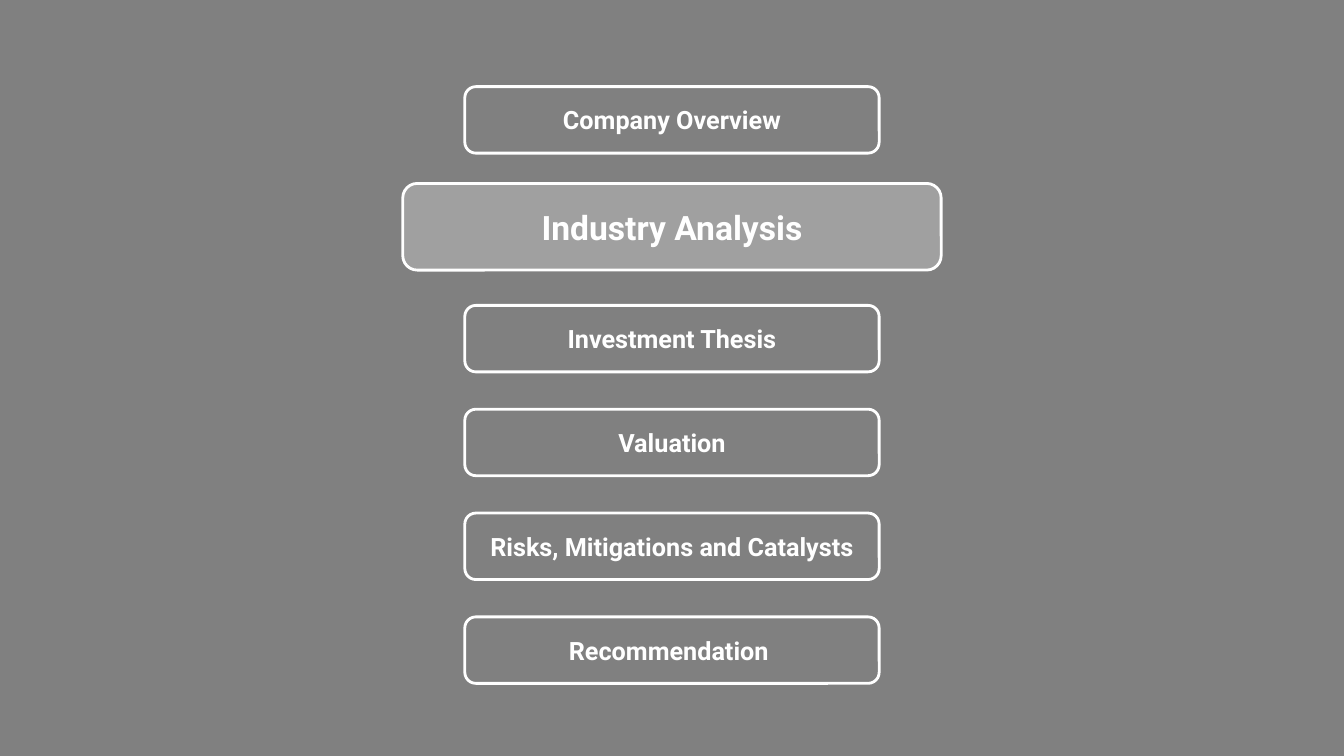
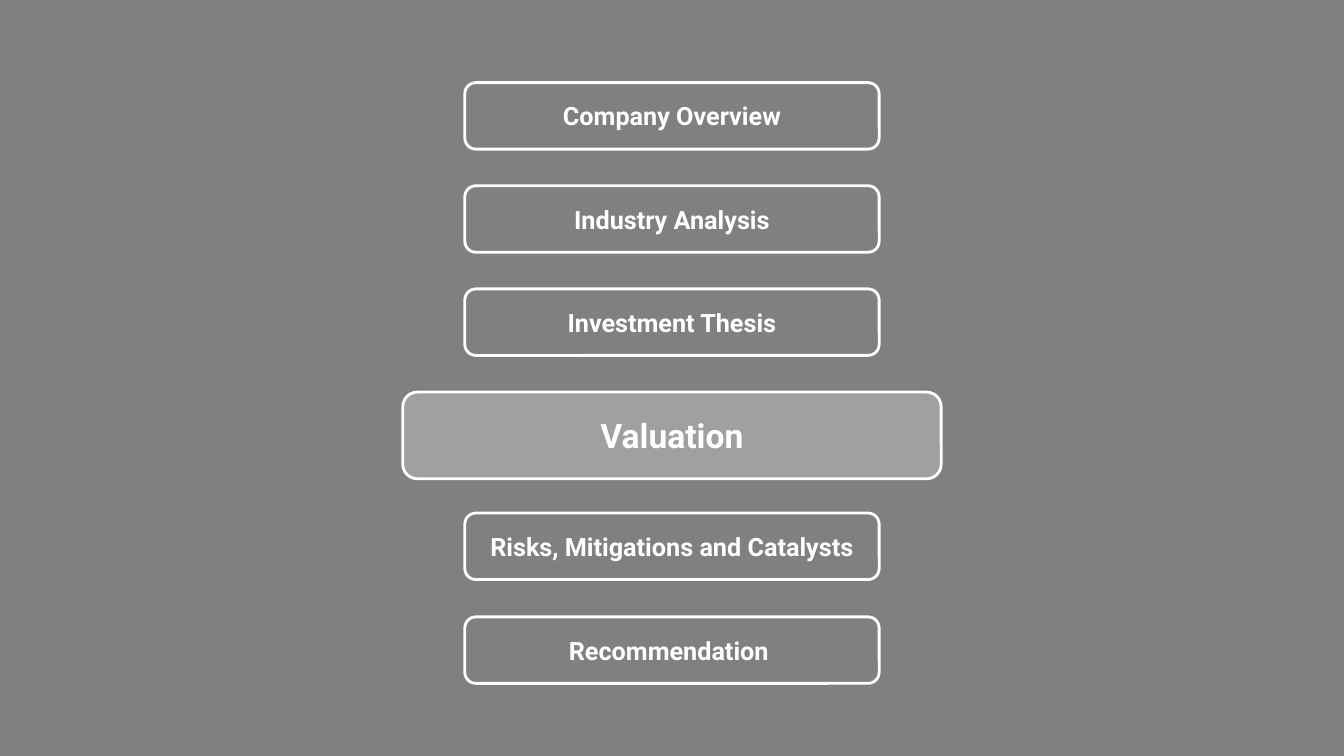
from lxml import etree
from pptx import Presentation
from pptx.dml.color import RGBColor
from pptx.enum.shapes import MSO_SHAPE as SHAPE
from pptx.enum.text import MSO_ANCHOR as ANCHOR, PP_ALIGN as ALIGN
from pptx.oxml.ns import qn
from pptx.util import Inches, Pt

# Content: the agenda, and per slide the active section with its top edges
SECTIONS = [
    "Company Overview",
    "Industry Analysis",
    "Investment Thesis",
    "Valuation",
    "Risks, Mitigations and Catalysts",
    "Recommendation ",
]
SLIDES = [
    {"active": 1, "first_top": 0.86, "active_top": 1.82},
    {"active": 3, "first_top": 0.82, "active_top": 3.89},
]

# Shared style
GREY = RGBColor(0x80, 0x80, 0x80)
WHITE = RGBColor(0xFF, 0xFF, 0xFF)
SLIDE_W, SLIDE_H = 13.33, 7.5
LAST_TOP, PITCH = 6.12, 1.03
NORMAL = {"width": 4.11, "height": 0.66, "size": 18, "opacity": None}
ACTIVE = {"width": 5.34, "height": 0.86, "size": 24, "opacity": 26}


def section_top(i, active, first_top, active_top):
    """Even steps down to the active box, then a fixed pitch up from the last."""
    if i <= active:
        return first_top + (active_top - first_top) * i / active
    return LAST_TOP - PITCH * (len(SECTIONS) - 1 - i)


def add_section(slide, text, top, style):
    left = (SLIDE_W - style["width"]) / 2
    box = (left, top, style["width"], style["height"])
    s = slide.shapes.add_shape(SHAPE.ROUNDED_RECTANGLE, *map(Inches, box))
    s.shadow.inherit = False
    s.line.color.rgb = WHITE
    s.line.width = Pt(2)

    # Translucent white for the active section, no fill for the others
    if style["opacity"]:
        s.fill.solid()
        s.fill.fore_color.rgb = WHITE
        color = s.fill._xPr.find(qn("a:solidFill"))[0]
        etree.SubElement(color, qn("a:alpha"), val=str(style["opacity"] * 1000))
    else:
        s.fill.background()

    tf = s.text_frame
    tf.word_wrap = True
    tf.vertical_anchor = ANCHOR.MIDDLE
    p = tf.paragraphs[0]
    p.alignment = ALIGN.CENTER
    r = p.add_run()
    r.text = text
    font = {"name": "Roboto", "size": Pt(style["size"]), "bold": True}
    for key, value in font.items():
        setattr(r.font, key, value)
    r.font.color.rgb = WHITE


def main():
    prs = Presentation()
    prs.slide_width, prs.slide_height = Inches(SLIDE_W), Inches(SLIDE_H)

    # Grey backdrop for every slide
    backdrop = prs.slide_master.background.fill
    backdrop.solid()
    backdrop.fore_color.rgb = GREY

    for page in SLIDES:
        slide = prs.slides.add_slide(prs.slide_layouts[6])
        for i, text in enumerate(SECTIONS):
            style = ACTIVE if i == page["active"] else NORMAL
            add_section(slide, text, section_top(i, **page), style)

    prs.save("out.pptx")


if __name__ == "__main__":
    main()
